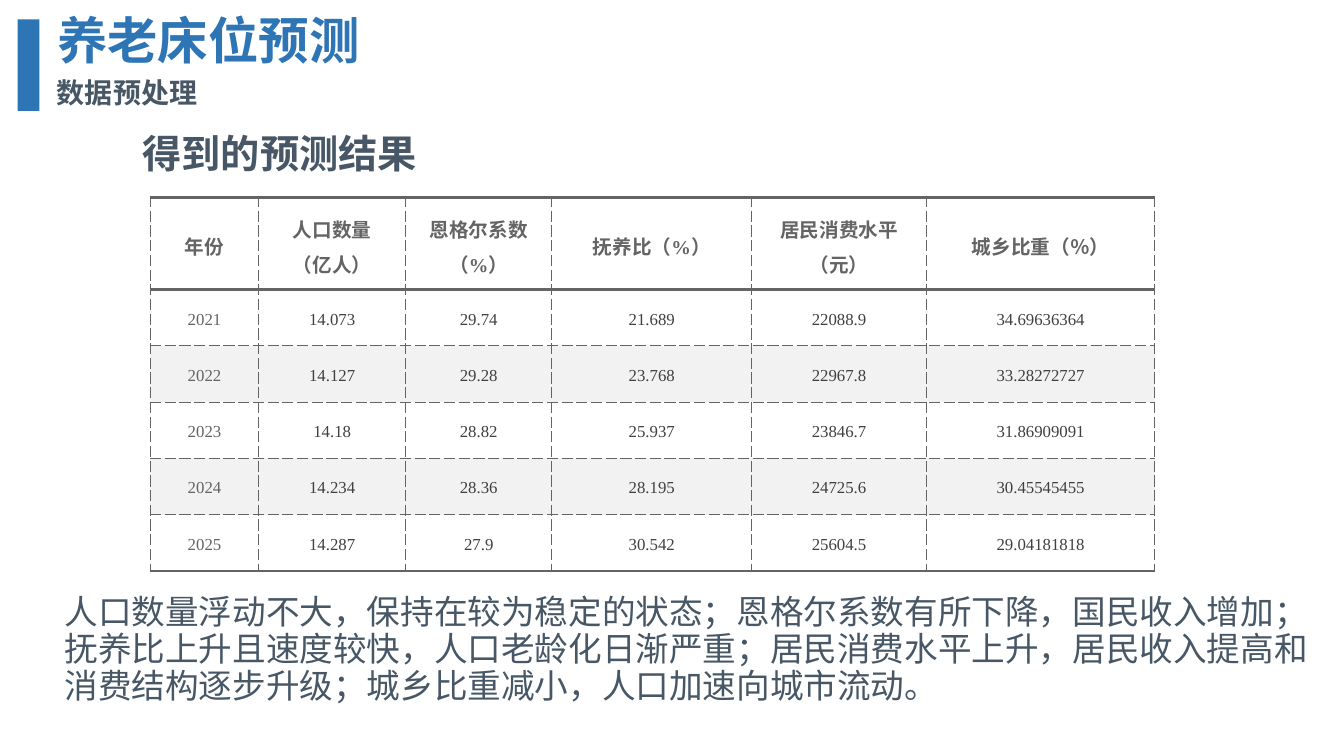
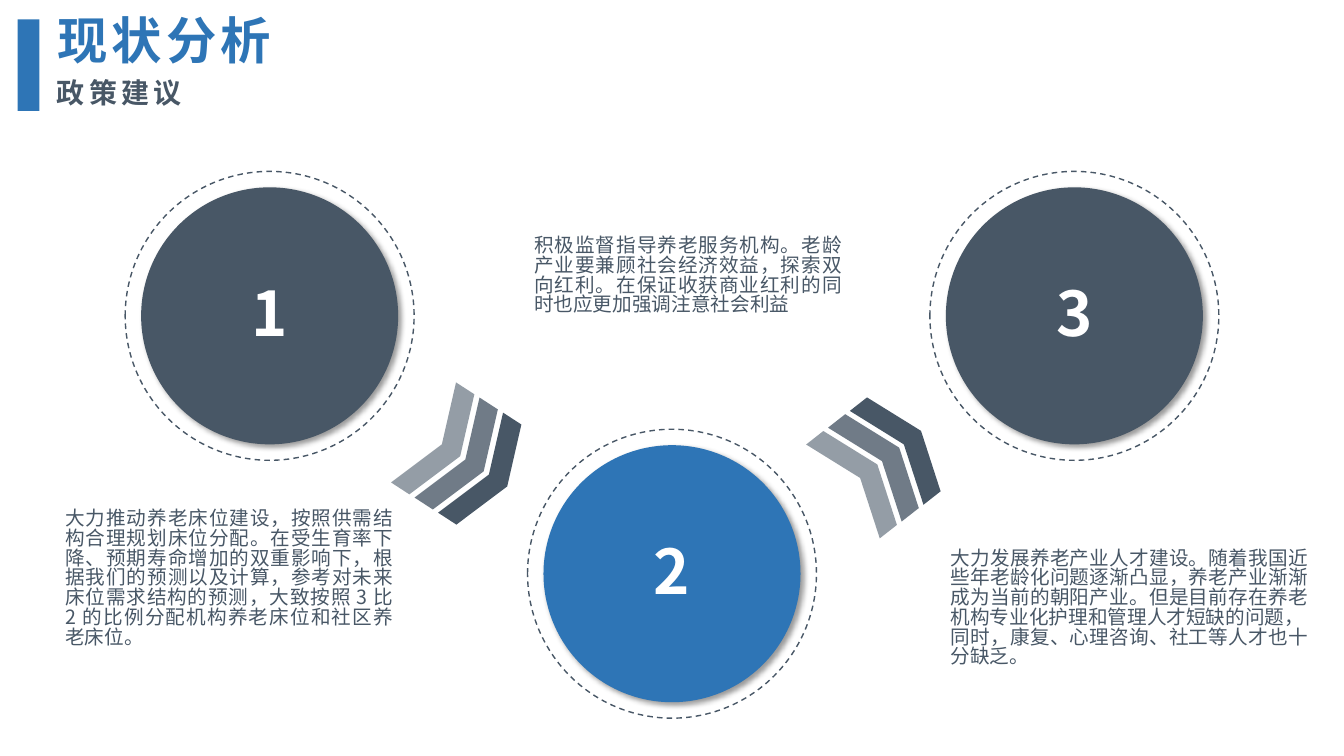
from dataclasses import dataclass, replace
from typing import NamedTuple

from lxml.etree import SubElement
from pptx import Presentation
from pptx.dml.color import RGBColor as Rgb
from pptx.enum.dml import MSO_LINE as Dash
from pptx.enum.shapes import MSO_SHAPE as Preset
from pptx.enum.text import MSO_ANCHOR as Anchor, MSO_AUTO_SIZE as AutoSize, PP_ALIGN as Align
from pptx.oxml.ns import qn
from pptx.shapes.autoshape import Shape
from pptx.slide import Slide
from pptx.table import _Cell as Cell
from pptx.text.text import TextFrame
from pptx.util import Emu, Pt

# The slide is a grid of 16 columns by 9 rows of square cells
COLUMNS, ROWS, CELL = 16, 9, 762000


@dataclass(frozen=True)
class Theme:
    blue: str = "2E75B6"
    slate: str = "485766"
    grey: str = "646464"
    ink: str = "404040"
    stripe: str = "F2F2F2"
    white: str = "FFFFFF"
    serif: str = "Times New Roman"
    sans: str = "Noto Sans CJK SC"
    title: int = 36
    subtitle: int = 20
    heading: int = 28
    summary: int = 24
    advice: int = 14
    number: int = 44
    table_head: int = 14
    table_body: int = 12
    tight: float = 0.84
    relaxed: float = 0.92
    table_spacing: float = 1.2


THEME = Theme()


class Box(NamedTuple):
    """Left, top, width and height in grid cells."""
    left: float
    top: float
    width: float
    height: float

    def emu(self) -> list[Emu]:
        return [grid(length) for length in self]


@dataclass(frozen=True)
class TextStyle:
    size: int
    color: str = THEME.slate
    font: str = THEME.serif
    bold: bool = False
    align: Align = Align.LEFT
    spacing: float = THEME.tight
    tracking: int = 0  # points between letters


class Step(NamedTuple):
    number: str
    color: str
    ring_top: float
    advice_box: Box
    advice: str


class Arrow(NamedTuple):
    left: float
    top: float
    step_x: float
    step_y: float
    rotation: float


HEADERS = ["年份", "人口数量（亿人）", "恩格尔系数（%）", "抚养比（%）", "居民消费水平（元）", "城乡比重（％）"]
FORECAST = [
    ["2021", "14.073", "29.74", "21.689", "22088.9", "34.69636364"],
    ["2022", "14.127", "29.28", "23.768", "22967.8", "33.28272727"],
    ["2023", "14.18", "28.82", "25.937", "23846.7", "31.86909091"],
    ["2024", "14.234", "28.36", "28.195", "24725.6", "30.45545455"],
    ["2025", "14.287", "27.9", "30.542", "25604.5", "29.04181818"],
]
SUMMARY = (
    "人口数量浮动不大，保持在较为稳定的状态；恩格尔系数有所下降，国民收入增加；"
    "抚养比上升且速度较快，人口老龄化日渐严重；居民消费水平上升，居民收入提高和"
    "消费结构逐步升级；城乡比重减小，人口加速向城市流动。"
)
STEPS = [
    Step("1", THEME.slate, 2.04, Box(0.66, 6.01, 4.14, 2.1),
         "大力推动养老床位建设，按照供需结构合理规划床位分配。在受生育率下降、预期寿命增加的"
         "双重影响下，根据我们的预测以及计算，参考对未来床位需求结构的预测，大致按照 3 比 2 "
         "的比例分配机构养老床位和社区养老床位。"),
    Step("2", THEME.blue, 5.11, Box(6.24, 2.76, 3.9, 1.25),
         "积极监督指导养老服务机构。老龄产业要兼顾社会经济效益，探索双向红利。"
         "在保证收获商业红利的同时也应更加强调注意社会利益"),
    Step("3", THEME.slate, 2.04, Box(11.2, 6.48, 4.49, 1.81),
         "大力发展养老产业人才建设。随着我国近些年老龄化问题逐渐凸显，养老产业渐渐成为当前的"
         "朝阳产业。但是目前存在养老机构专业化护理和管理人才短缺的问题，\n"
         "同时，康复、心理咨询、社工等人才也十分缺乏。"),
]
ARROWS = [Arrow(5, 4.58, 0.28, 0.18, 33), Arrow(9.98, 4.98, 0.26, -0.2, 321.9)]


def grid(cells: float) -> Emu:
    return Emu(round(cells * CELL))


# Text
def write(frame: TextFrame, text: str, style: TextStyle) -> None:
    frame.text = text
    for paragraph in frame.paragraphs:
        paragraph.alignment = style.align
        paragraph.line_spacing = style.spacing
        for run in paragraph.runs:
            font = run.font
            font.size, font.bold, font.name = Pt(style.size), style.bold, style.font
            font.color.rgb = Rgb.from_string(style.color)
            properties = run._r.get_or_add_rPr()
            if style.tracking:
                properties.set("spc", str(style.tracking * 100))
            east_asian = SubElement(properties, qn("a:ea"), typeface=THEME.sans)
            properties.find(qn("a:latin")).addnext(east_asian)


def fit_frame(frame: TextFrame) -> None:
    frame.word_wrap = True
    frame.auto_size = AutoSize.NONE
    frame.vertical_anchor = Anchor.TOP


def add_text(slide: Slide, box: Box, text: str, style: TextStyle) -> None:
    frame = slide.shapes.add_textbox(*box.emu()).text_frame
    fit_frame(frame)
    write(frame, text, style)


# Shapes
def add_filled(slide: Slide, preset: Preset, box: Box, color: str, opacity: int = 100) -> Shape:
    shape = slide.shapes.add_shape(preset, *box.emu())
    shape.shadow.inherit = False
    shape.fill.solid()
    shape.fill.fore_color.rgb = Rgb.from_string(color)
    shape.line.fill.background()
    if opacity < 100:
        tint = shape._element.spPr.find(f"{qn('a:solidFill')}/{qn('a:srgbClr')}")
        SubElement(tint, qn("a:alpha"), val=str(opacity * 1000))
    return shape


def add_drop_shadow(shape: Shape) -> None:
    effects = shape._element.spPr.find(qn("a:effectLst"))
    shadow = SubElement(effects, qn("a:outerShdw"), blurRad=str(Pt(4)), dist=str(Pt(3)),
                        dir=str(45 * 60000), algn="tl", rotWithShape="0")
    tint = SubElement(shadow, qn("a:srgbClr"), val="000000")
    SubElement(tint, qn("a:alpha"), val="40000")


# Title band shared by the slides
def add_titled_slide(deck: Presentation, title: str, subtitle: str,
                     font: str, tracking: int = 0) -> Slide:
    slide = deck.slides.add_slide(deck.slide_layouts[5])
    heading = slide.shapes.title
    heading.left, heading.top, heading.width, heading.height = Box(0.56, 0.16, 4.16, 0.85).emu()
    fit_frame(heading.text_frame)
    style = TextStyle(THEME.title, THEME.blue, font, bold=True, tracking=tracking)
    write(heading.text_frame, title, style)
    add_text(slide, Box(0.56, 0.91, 3.44, 0.53), subtitle,
             replace(style, size=THEME.subtitle, color=THEME.slate))
    add_filled(slide, Preset.RECTANGLE, Box(0.21, 0.23, 0.26, 1.09), THEME.blue)
    return slide


# Forecast table
def set_borders(cell: Cell, heavy_sides: str) -> None:
    properties = cell._tc.get_or_add_tcPr()
    for position, side in enumerate("LRTB"):
        heavy = side in heavy_sides
        border = SubElement(properties, qn(f"a:ln{side}"), w=str(Pt(2.25 if heavy else 0.75)))
        paint = SubElement(border, qn("a:solidFill"))
        SubElement(paint, qn("a:srgbClr"), val=THEME.grey)
        SubElement(border, qn("a:prstDash"), val="solid" if heavy else "sysDash")
        properties.insert(position, border)


def add_forecast(slide: Slide) -> None:
    widths = [1.29, 1.75, 1.74, 2.38, 2.08, 2.72]
    heights = [0.85] + [0.67] * len(FORECAST)
    box = Box(1.79, 2.35, sum(widths), sum(heights))
    table = slide.shapes.add_table(len(heights), len(widths), *box.emu()).table
    table.first_row = table.horz_banding = False
    for column, width in zip(table.columns, widths):
        column.width = grid(width)
    for row, height in zip(table.rows, heights):
        row.height = grid(height)

    head = TextStyle(THEME.table_head, THEME.grey, bold=True, align=Align.CENTER,
                     spacing=THEME.table_spacing)
    year = replace(head, size=THEME.table_body, bold=False)
    value = replace(year, color=THEME.ink)
    heavy_sides = {0: "TB", 1: "T", len(FORECAST): "B"}
    for r, texts in enumerate([HEADERS, *FORECAST]):
        for c, text in enumerate(texts):
            cell = table.cell(r, c)
            cell.vertical_anchor = Anchor.MIDDLE
            cell.margin_left = cell.margin_right = grid(0.23)
            cell.margin_top = cell.margin_bottom = grid(0.14)
            cell.fill.solid()
            striped = r > 0 and r % 2 == 0
            cell.fill.fore_color.rgb = Rgb.from_string(THEME.stripe if striped else THEME.white)
            set_borders(cell, heavy_sides.get(r, ""))
            write(cell.text_frame, text, head if r == 0 else year if c == 0 else value)


def build_forecast_slide(deck: Presentation) -> None:
    slide = add_titled_slide(deck, "养老床位预测", "数据预处理", THEME.serif)
    add_text(slide, Box(1.33, 1.57, 4, 0.68), "得到的预测结果",
             TextStyle(THEME.heading, bold=True, align=Align.CENTER))
    add_forecast(slide)
    add_text(slide, Box(0.65, 7.02, 15.22, 1.72), SUMMARY,
             TextStyle(THEME.summary, spacing=THEME.relaxed))


# Policy advice
def add_step(slide: Slide, step: Step, left: float) -> None:
    ring_size, gap = 3.44, 0.19
    disc_size = ring_size - 2 * gap
    ring = slide.shapes.add_shape(
        Preset.OVAL, *Box(left, step.ring_top, ring_size, ring_size).emu())
    ring.shadow.inherit = False
    ring.fill.background()
    ring.line.color.rgb = Rgb.from_string(THEME.slate)
    ring.line.width = Pt(1)
    ring.line.dash_style = Dash.DASH

    disc = add_filled(slide, Preset.OVAL,
                      Box(left + gap, step.ring_top + gap, disc_size, disc_size), step.color)
    add_drop_shadow(disc)
    disc.text_frame.vertical_anchor = Anchor.MIDDLE
    write(disc.text_frame, step.number,
          TextStyle(THEME.number, THEME.white, THEME.sans, bold=True,
                    align=Align.CENTER, spacing=THEME.relaxed))
    add_text(slide, step.advice_box, step.advice,
             TextStyle(THEME.advice, font=THEME.sans, align=Align.JUSTIFY))


def add_arrow(slide: Slide, arrow: Arrow) -> None:
    for i, opacity in enumerate((58, 78, 100)):
        box = Box(arrow.left + i * arrow.step_x, arrow.top + i * arrow.step_y, 0.52, 1.42)
        chevron = add_filled(slide, Preset.CHEVRON, box, THEME.slate, opacity)
        chevron.rotation = arrow.rotation


def build_policy_slide(deck: Presentation) -> None:
    slide = add_titled_slide(deck, "现状分析", "政策建议", THEME.sans, tracking=3)
    for i, step in enumerate(STEPS):
        add_step(slide, step, 1.49 + i * 4.79)
    for arrow in ARROWS:
        add_arrow(slide, arrow)


def main() -> None:
    deck = Presentation()
    deck.slide_width, deck.slide_height = grid(COLUMNS), grid(ROWS)
    build_forecast_slide(deck)
    build_policy_slide(deck)
    deck.save("out.pptx")


if __name__ == "__main__":
    main()
